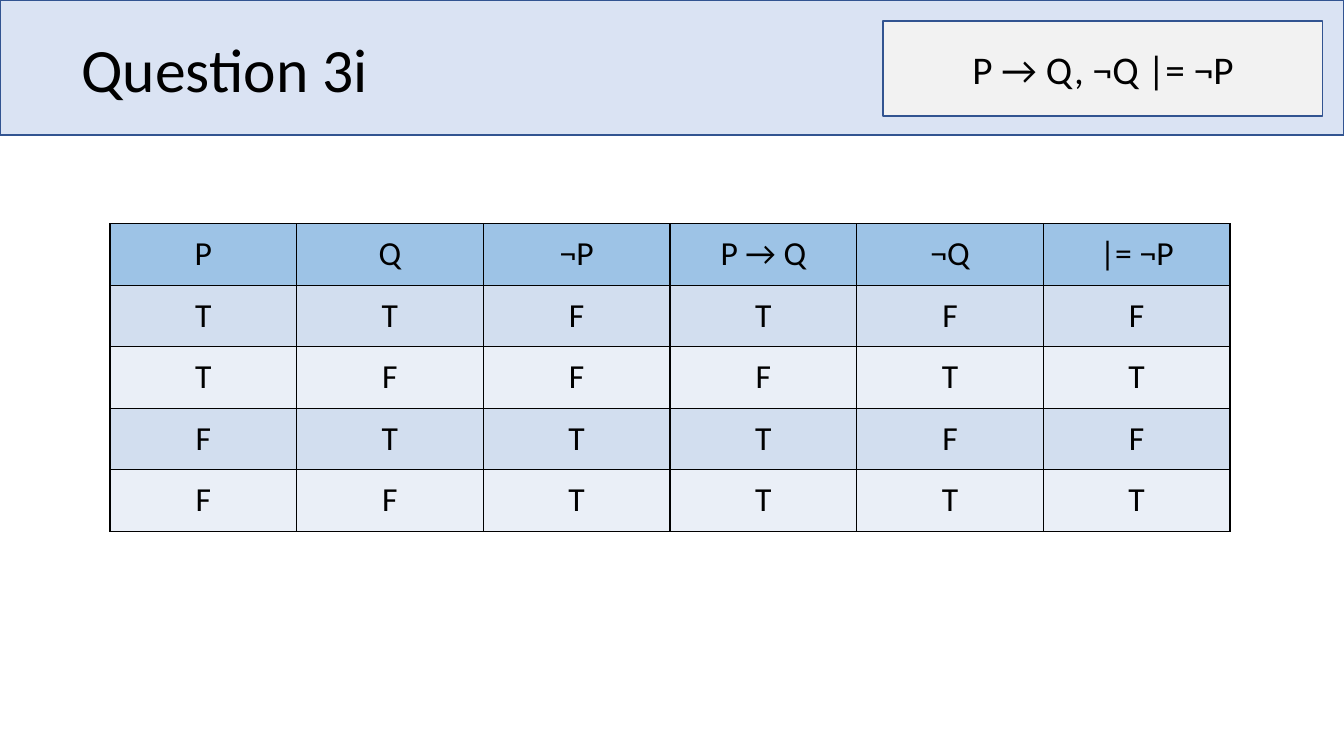
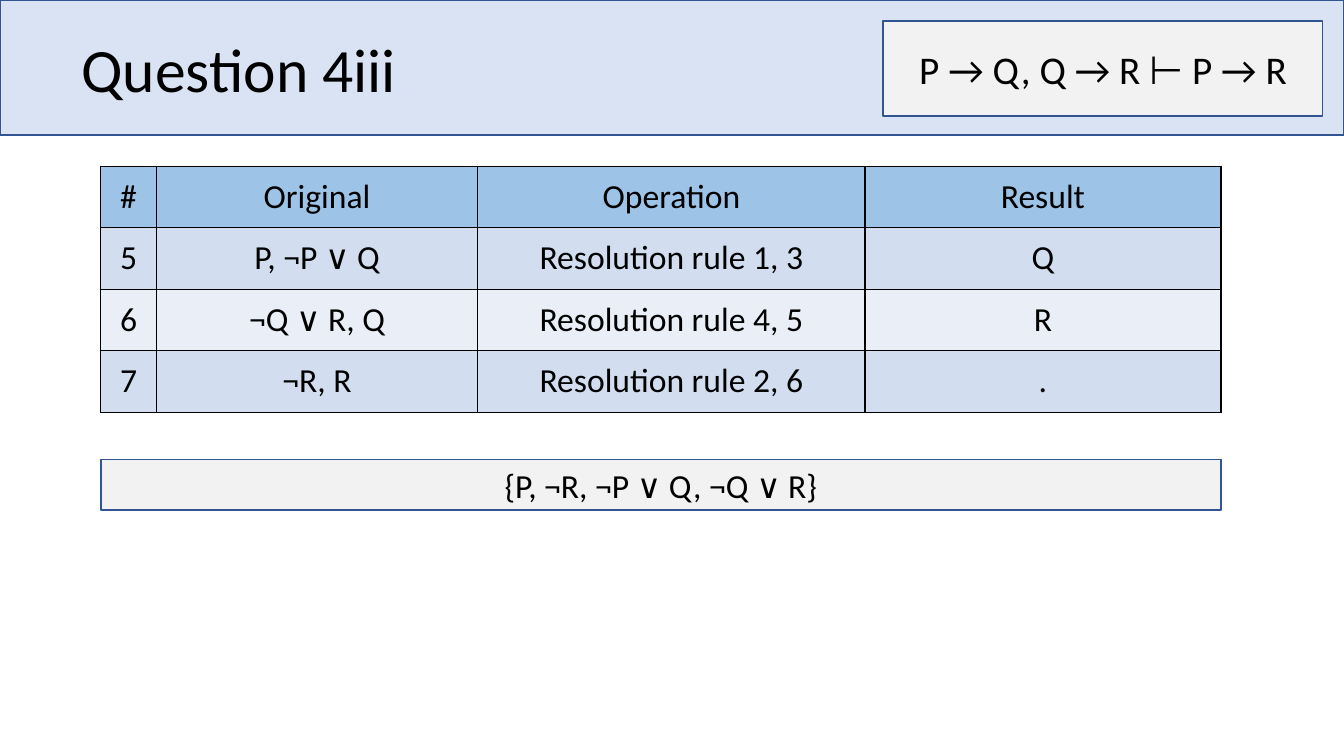
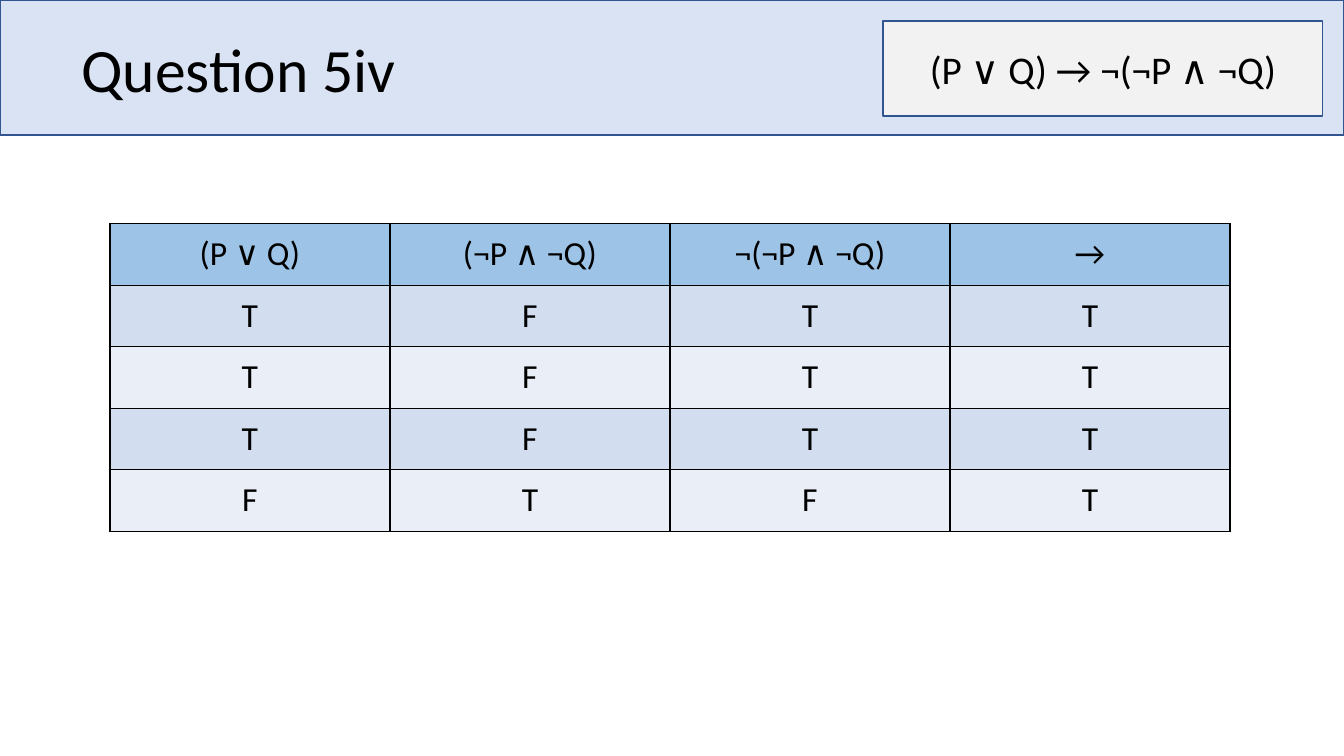
"""Build three logic question slides, each with a title band, a formula and a table."""
from lxml import etree
from pptx import Presentation
from pptx import util as u
from pptx.dml.color import RGBColor
from pptx.enum import shapes, text
from pptx.oxml import ns

QUESTIONS = [
    {
        "title": "Question 3i",
        "formula": "P → Q, ¬Q |= ¬P",
        "origin": (1.09, 2.22),
        "shares": [1] * 6,
        "rows": [
            ("P", "Q", "¬P", "P → Q", "¬Q", "|= ¬P"),
            "TTFTFF",
            "TFFFTT",
            "FTTTFF",
            "FFTTTT",
        ],
    },
    {
        "title": "Question 4iii",
        "formula": "P → Q, Q → R ⊢ P → R",
        "origin": (1, 1.65),
        "shares": [0.55, 3.19, 3.84, 3.53],
        "rows": [
            ("#", "Original", "Operation", "Result"),
            ("5", "P, ¬P ∨ Q", "Resolution rule 1, 3", "Q"),
            ("6", "¬Q ∨ R, Q", "Resolution rule 4, 5", "R"),
            ("7", "¬R, R", "Resolution rule 2, 6", "."),
        ],
        "clauses": "{P, ¬R, ¬P ∨ Q, ¬Q ∨ R}",
    },
    {
        "title": "Question 5iv",
        "formula": "(P ∨ Q) → ¬(¬P ∧ ¬Q)",
        "origin": (1.09, 2.22),
        "shares": [1] * 4,
        "rows": [
            ("(P ∨ Q)", "(¬P ∧ ¬Q)", "¬(¬P ∧ ¬Q)", "→"),
            "TFTT",
            "TFTT",
            "TFTT",
            "FTFT",
        ],
    },
]

COLORS = {
    "band": "DAE3F3", "outline": "325491", "box": "F2F2F2", "ink": "000000",
    "header": "9DC3E6", "odd": "D2DEEF", "even": "EAEFF7",
}
FONT = "Calibri"
SLIDE_WIDTH, SLIDE_HEIGHT = 13.33, 7.5
BAND = (0, 0, SLIDE_WIDTH, 1.34)
TITLE = (0.71, -0.01, 11.5, 1.45)
FORMULA = (8.76, 0.21, 4.36, 0.94)
TABLE_WIDTH, ROW_HEIGHT = 11.11, 0.61
CLAUSES_GAP, CLAUSES_HEIGHT = 0.47, 0.5


def color(name):
    return RGBColor.from_string(COLORS[name])


def inches(box):
    return [u.Inches(length) for length in box]


def write(frame, content, size, align=text.PP_ALIGN.CENTER):
    frame.text = content
    frame.word_wrap = True
    frame.vertical_anchor = text.MSO_ANCHOR.MIDDLE
    paragraph = frame.paragraphs[0]
    paragraph.alignment = align
    font = paragraph.runs[0].font
    font.name, font.size = FONT, u.Pt(size)
    font.color.rgb = color("ink")
    return paragraph


def add_box(slide, box, fill, content="", size=24):
    shape = slide.shapes.add_shape(shapes.MSO_SHAPE.RECTANGLE, *inches(box))
    shape.shadow.inherit = False
    shape.fill.solid()
    shape.fill.fore_color.rgb = color(fill)
    shape.line.color.rgb = color("outline")
    shape.line.width = u.Pt(1)
    if content:
        write(shape.text_frame, content, size)


def add_borders(cell):
    properties = cell._tc.get_or_add_tcPr()
    for side in ("a:lnL", "a:lnR", "a:lnT", "a:lnB"):
        line = etree.SubElement(properties, ns.qn(side), w=str(u.Pt(1)))
        fill = etree.SubElement(line, ns.qn("a:solidFill"))
        etree.SubElement(fill, ns.qn("a:srgbClr"), val=COLORS["ink"])


def add_table(slide, origin, shares, rows):
    box = (*origin, TABLE_WIDTH, ROW_HEIGHT * len(rows))
    table = slide.shapes.add_table(len(rows), len(shares), *inches(box)).table
    for column, share in zip(table.columns, shares):
        column.width = u.Inches(TABLE_WIDTH * share / sum(shares))
    for row_index, row in enumerate(rows):
        table.rows[row_index].height = u.Inches(ROW_HEIGHT)
        shade = "header" if row_index == 0 else "odd" if row_index % 2 else "even"
        for column_index, content in enumerate(row):
            cell = table.cell(row_index, column_index)
            add_borders(cell)
            cell.fill.solid()
            cell.fill.fore_color.rgb = color(shade)
            cell.vertical_anchor = text.MSO_ANCHOR.MIDDLE
            write(cell.text_frame, content, 24)


def add_header(slide, title, formula):
    add_box(slide, BAND, "band")
    title_box = slide.shapes.add_textbox(*inches(TITLE))
    paragraph = write(title_box.text_frame, title, 44, text.PP_ALIGN.LEFT)
    paragraph.line_spacing = 0.9
    add_box(slide, FORMULA, "box", formula, 28)


presentation = Presentation()
presentation.slide_width = u.Inches(SLIDE_WIDTH)
presentation.slide_height = u.Inches(SLIDE_HEIGHT)
for question in QUESTIONS:
    slide = presentation.slides.add_slide(presentation.slide_layouts[6])
    add_header(slide, question["title"], question["formula"])
    add_table(slide, question["origin"], question["shares"], question["rows"])
    if "clauses" in question:
        left, top = question["origin"]
        clauses_top = top + ROW_HEIGHT * len(question["rows"]) + CLAUSES_GAP
        add_box(slide, (left, clauses_top, TABLE_WIDTH, CLAUSES_HEIGHT),
                "box", question["clauses"])
presentation.save("out.pptx")
